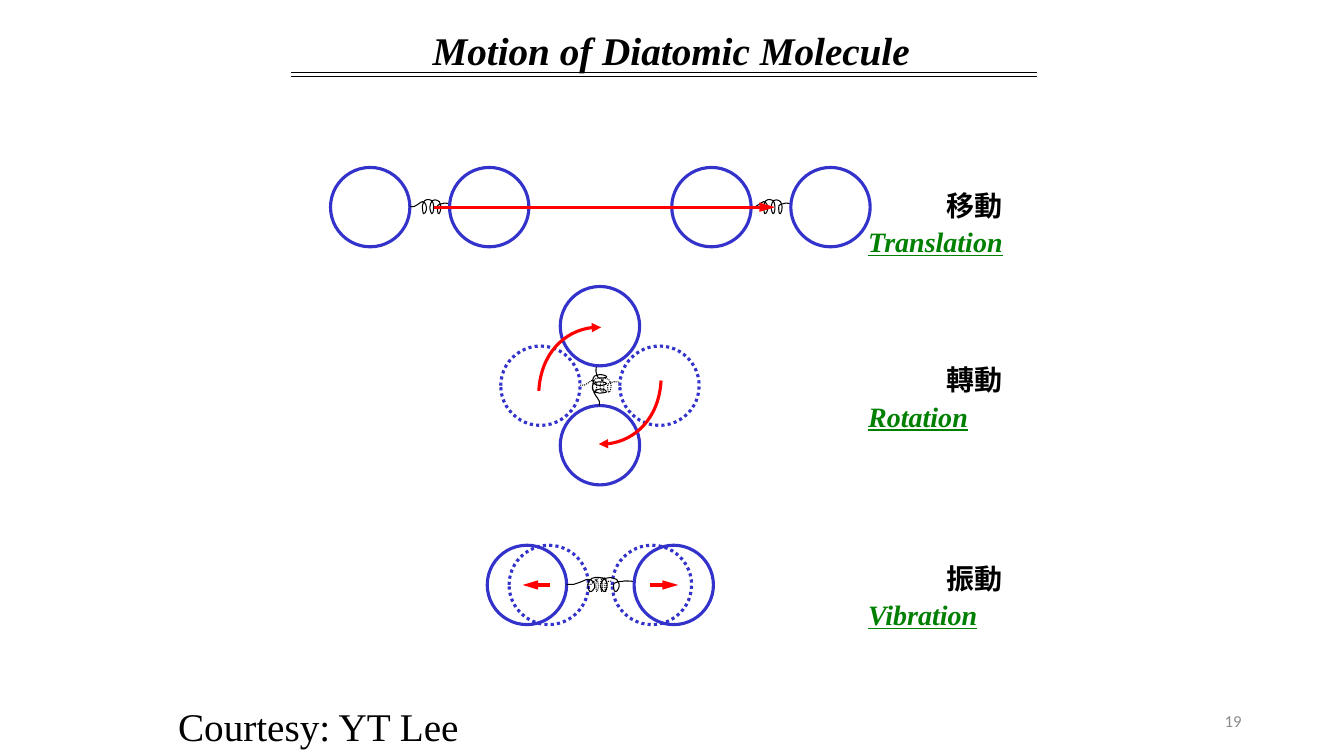
import dataclasses

import pptx
import pptx.dml.color
import pptx.enum.dml
import pptx.enum.shapes
import pptx.enum.text
import pptx.oxml
import pptx.oxml.ns
import pptx.util

Cm = pptx.util.Cm
Align = pptx.enum.text.PP_ALIGN
Dash = pptx.enum.dml.MSO_LINE


@dataclasses.dataclass(frozen=True)
class Theme:
    """Colours, fonts and sizes of the slide."""
    ink: str = "000000"
    paper: str = "FFFFFF"
    atom: str = "3333CC"
    motion: str = "FF0000"
    term: str = "008000"
    muted: str = "8C8C8C"
    serif: str = "Times New Roman"
    chinese: str = "Noto Sans CJK SC"
    sans: str = "Calibri"
    heading: int = 28
    label: int = 20
    small: int = 12
    thin: float = 0.75
    thick: float = 2.25


@dataclasses.dataclass(frozen=True)
class Box:
    """A rectangle in centimetres."""
    left: float
    top: float
    width: float
    height: float

    @property
    def middle(self):
        """Return the centre point."""
        return self.left + self.width / 2, self.top + self.height / 2

    @property
    def frame(self):
        """Return left, top, width and height as lengths."""
        return [Cm(value) for value in dataclasses.astuple(self)]


THEME = Theme()
ATOM = 2.0
SPRING_SIZE = (67, 15)
SPRING = [
    (0, 7), (1, 7), (5, 7), (7, 7), (9, 6), (11, 6), (13, 5), (16, 4), (19, 2), (21, 2),
    (23, 2), (26, 3), (27, 5), (28, 6), (28, 9), (28, 10), (27, 12), (25, 15), (23, 14),
    (22, 13), (21, 9), (21, 7), (22, 4), (23, 2), (25, 1), (27, 0), (30, 0), (32, 0),
    (35, 0), (38, 1), (39, 3), (40, 5), (41, 8), (40, 10), (40, 12), (38, 15), (37, 14),
    (36, 14), (33, 9), (34, 7), (34, 5), (36, 2), (38, 1), (41, 0), (45, 0), (47, 1),
    (49, 1), (51, 3), (51, 4), (52, 6), (53, 8), (52, 10), (52, 12), (49, 15), (48, 14),
    (47, 14), (46, 8), (47, 6), (49, 5), (51, 4), (55, 4), (58, 3), (65, 4), (67, 4),
]
TURN = [(-1.54, 0.13), (-1.49, -0.81), (-0.77, -1.52), (0.03, -1.47)]


def paint_line(shape, color, width, dash=None, head=None):
    """Style an outline, with an optional arrowhead of the given length at its end."""
    shape.line.color.rgb = pptx.dml.color.RGBColor.from_string(color)
    shape.line.width = pptx.util.Pt(width)
    if dash:
        shape.line.dash_style = dash
    if head:
        tail = pptx.oxml.parse_xml(
            f'<a:tailEnd {pptx.oxml.ns.nsdecls("a")} type="triangle" w="med" len="{head}"/>')
        shape.line._get_or_add_ln().append(tail)


def write(shape, text, font, size, color, align=Align.LEFT, bold=False, italic=False,
          underline=False):
    """Put one formatted paragraph into a shape."""
    shape.text_frame.word_wrap = False
    para = shape.text_frame.paragraphs[0]
    para.text = text
    para.alignment = align
    para.font.name = font
    para.font.size = pptx.util.Pt(size)
    para.font.bold, para.font.italic, para.font.underline = bold, italic, underline
    para.font.color.rgb = pptx.dml.color.RGBColor.from_string(color)


def add_text(page, box, text, *style, **options):
    """Add a text box and return it."""
    shape = page.shapes.add_textbox(*box.frame)
    write(shape, text, *style, **options)
    return shape


def add_line(page, start, end, color, width, head=None):
    """Add a straight line between two points."""
    line = page.shapes.add_connector(
        pptx.enum.shapes.MSO_CONNECTOR.STRAIGHT, *[Cm(value) for value in (*start, *end)])
    paint_line(line, color, width, head=head)
    properties = line._element.spPr
    properties.append(pptx.oxml.parse_xml(f'<a:effectLst {pptx.oxml.ns.nsdecls("a")}/>'))


def add_curve(page, points):
    """Add an open, unfilled chain of cubic curves and return it."""
    lengths = [(Cm(x), Cm(y)) for x, y in points]
    builder = page.shapes.build_freeform(*lengths[0], scale=1.0)
    builder.add_line_segments(lengths[1:], close=False)
    curve = builder.convert_to_shape()
    segments = list(curve._element.iter(pptx.oxml.ns.qn("a:lnTo")))
    outline = segments[0].getparent()
    for index in range(0, len(segments), 3):
        cubic = pptx.oxml.parse_xml(f'<a:cubicBezTo {pptx.oxml.ns.nsdecls("a")}/>')
        for segment in segments[index:index + 3]:
            cubic.append(segment[0])
            outline.remove(segment)
        outline.append(cubic)
    curve.fill.background()
    curve.shadow.inherit = False
    return curve


def add_atom(page, x, y, dash, filled):
    """Add an atom centred on a point."""
    box = Box(x - ATOM / 2, y - ATOM / 2, ATOM, ATOM)
    atom = page.shapes.add_shape(pptx.enum.shapes.MSO_SHAPE.OVAL, *box.frame)
    if filled:
        atom.fill.solid()
        atom.fill.fore_color.rgb = pptx.dml.color.RGBColor.from_string(THEME.paper)
    else:
        atom.fill.background()
    atom.shadow.inherit = False
    paint_line(atom, THEME.atom, THEME.thick, dash)


def add_molecule(page, middle, bond=1.0, dash=None, upright=False, filled=True):
    """Add two atoms joined by a spring around a middle point."""
    x, y = middle
    reach = (bond + ATOM) / 2
    dx, dy = (0, -reach) if upright else (reach, 0)
    add_atom(page, x - dx, y - dy, dash, filled)
    wide, high = SPRING_SIZE
    coil = [(x + (u / wide - 0.5) * bond, y + (v / high - 0.5) * 0.38) for u, v in SPRING]
    spring = add_curve(page, coil)
    spring.rotation = 270 if upright else 0
    paint_line(spring, THEME.ink, THEME.thin, dash)
    add_atom(page, x + dx, y + dy, dash, filled)


def draw_heading(page, box):
    """Place the title over a double rule."""
    title = page.shapes.title
    title.left, title.top, title.width, title.height = Box(
        box.left + 3.3, box.top, 12.55, 1.45).frame
    write(title, "Motion of Diatomic Molecule", THEME.serif, THEME.heading, THEME.ink,
          Align.CENTER, bold=True, italic=True)
    title.text_frame.vertical_anchor = pptx.enum.text.MSO_ANCHOR.TOP
    for y in (box.top + box.height - 0.1, box.top + box.height):
        add_line(page, (box.left, y), (box.left + box.width, y), THEME.ink, THEME.thin)


def draw_translation(page, box):
    """Show a molecule moving from the left to the right of the box."""
    x, y = box.middle
    travel = box.width / 2 - ATOM - 0.5
    for side in (-1, 1):
        add_molecule(page, (x + side * travel, y))
    add_line(page, (x - travel + 0.12, y), (x + travel + 0.1, y), THEME.motion, THEME.thick, "lg")


def draw_rotation(page, box):
    """Show a molecule turning a quarter about the middle of the box."""
    x, y = box.middle
    add_molecule(page, (x, y), dash=Dash.ROUND_DOT)
    add_molecule(page, (x, y), upright=True)
    for sign in (1, -1):
        arc = add_curve(page, [(x + sign * u, y + sign * v) for u, v in TURN])
        paint_line(arc, THEME.motion, THEME.thick, head="med")


def draw_vibration(page, box):
    """Show a molecule stretching about the middle of the box."""
    x, y = box.middle
    add_molecule(page, (x, y), bond=0.6, dash=Dash.ROUND_DOT)
    add_molecule(page, (x, y), bond=box.width - 2 * ATOM, filled=False)
    for side in (1, -1):
        add_line(page, (x + side * 1.26, y), (x + side * 1.96, y), THEME.motion, THEME.thick, "lg")


def draw_label(page, box, chinese, english):
    """Place the Chinese name at the right above the English term."""
    name = add_text(page, Box(box.left + 1.98, box.top, 1.93, 1.09), chinese,
                    THEME.chinese, THEME.label, THEME.ink, bold=True)
    span = name.text_frame.paragraphs[0].runs[0]
    east = pptx.oxml.parse_xml(
        f'<a:ea {pptx.oxml.ns.nsdecls("a")} typeface="{THEME.chinese}"/>')
    span._r.get_or_add_rPr().append(east)
    add_text(page, Box(box.left, box.top + 0.91, box.width, 1.09), english,
             THEME.serif, THEME.label, THEME.term, bold=True, italic=True, underline=True)


def draw_footer(page, box):
    """Place the courtesy line at the left and the page number at the right."""
    add_text(page, Box(box.left, box.top, 7.65, box.height), "Courtesy: YT Lee",
             THEME.serif, THEME.heading, THEME.ink)
    number = add_text(page, Box(box.left + box.width - 7.62, box.top + 0.08, 7.62, 1.01), "19",
                      THEME.sans, THEME.small, THEME.muted, Align.RIGHT)
    number.text_frame.word_wrap = True
    number.text_frame.vertical_anchor = pptx.enum.text.MSO_ANCHOR.MIDDLE


def main():
    """Build and save the slide."""
    deck = pptx.Presentation()
    deck.slide_width, deck.slide_height = Cm(33.87), Cm(19.05)
    page = deck.slides.add_slide(deck.slide_layouts[5])
    draw_heading(page, Box(7.34, 0.53, 18.8, 1.4))
    draw_translation(page, Box(8.33, 4.22, 13.6, 2))
    draw_rotation(page, Box(12.62, 7.22, 5, 5))
    draw_vibration(page, Box(12.28, 13.74, 5.7, 2))
    draw_label(page, Box(21.63, 4.62, 3.91, 2), "移動", "Translation")
    draw_label(page, Box(21.63, 9.02, 3.02, 2), "轉動", "Rotation")
    draw_label(page, Box(21.63, 14.02, 3.3, 2), "振動", "Vibration")
    draw_footer(page, Box(4.24, 17.58, 27.3, 1.45))
    deck.save("out.pptx")


if __name__ == "__main__":
    main()
